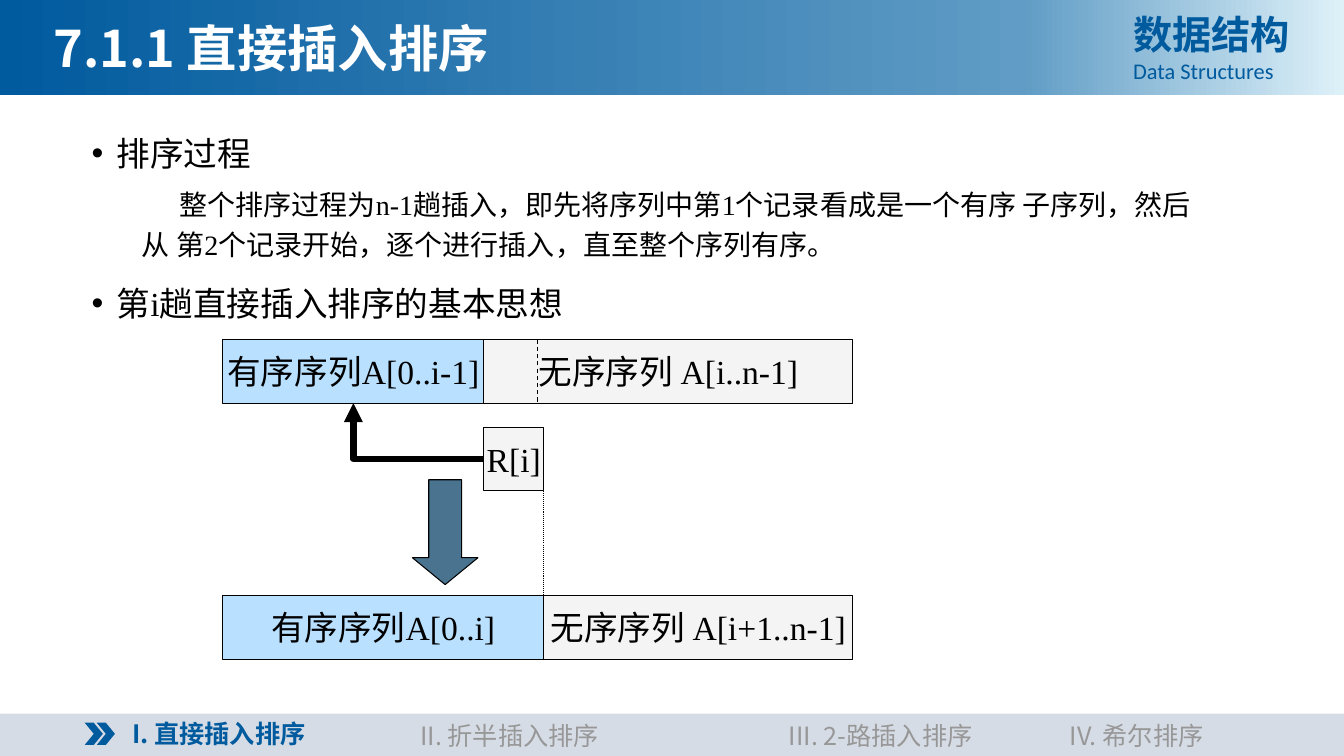
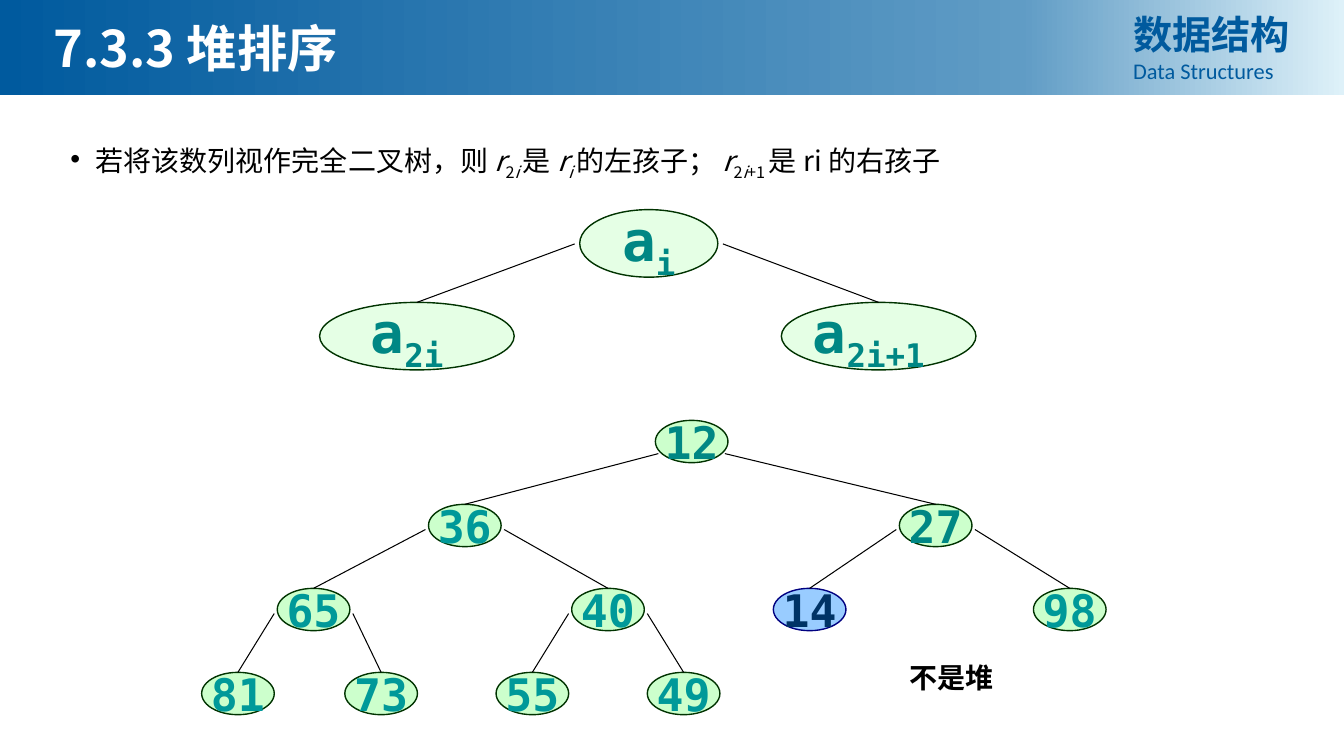
from copy import deepcopy
from dataclasses import dataclass

from pptx import Presentation
from pptx import util as u
from pptx.dml.color import RGBColor
from pptx.enum import dml, shapes, text
from pptx.oxml.ns import qn
from pptx.oxml.xmlchemy import OxmlElement

SHAPE = shapes.MSO_SHAPE
LINK = shapes.MSO_CONNECTOR
ALIGN = text.PP_ALIGN


@dataclass(frozen=True)
class Theme:
    # colours
    brand: str = "005A9E"
    band: tuple = ((0, "005A9E"), (0.76, "609CC5"), (1, "DEF1F9"))
    white: str = "FFFFFF"
    black: str = "000000"
    footer: str = "D6DCE5"
    muted: str = "979797"
    ordered: str = "B9E1FF"
    unordered: str = "F4F4F4"
    arrow: str = "49738F"
    node: str = "CCFFCC"
    node_line: str = "003300"
    teal: str = "008784"
    light_teal: str = "009999"
    marked: str = "99CCFF"
    marked_line: str = "000080"
    marked_text: str = "003366"
    # fonts
    sans: str = "Noto Sans CJK SC"
    serif: str = "Times New Roman"
    latin: str = "Calibri"
    mono: str = "DejaVu Sans Mono"
    # type sizes
    title: int = 36
    course: int = 28
    subtitle: int = 16
    body: int = 24
    detail: int = 20
    nav: int = 18
    symbol: int = 40
    value: int = 32


T = Theme()


def inches(*values):
    return [u.Inches(v) for v in values]


# Text
def style(p, size, color, font=T.sans, bold=False, align=None):
    p.alignment = align
    for r in p.runs:
        f = r.font
        f.size, f.bold, f.name = u.Pt(size), bold, font
        f.color.rgb = RGBColor.from_string(color)
        ea = OxmlElement("a:ea")
        ea.set("typeface", T.sans)
        r._r.rPr.find(qn("a:latin")).addnext(ea)


def add_runs(p, runs):
    """Runs are (text, marks); marks: i for italic, _ for subscript."""
    for content, marks in runs:
        r = p.add_run()
        r.text = content
        r.font.italic = "i" in marks
        if "_" in marks:
            r._r.get_or_add_rPr().set("baseline", "-25000")


def add_text(s, box, lines, wrap=True):
    """Each line is (text, keyword arguments of style)."""
    tf = s.shapes.add_textbox(*inches(*box)).text_frame
    tf.word_wrap = wrap
    tf.text = "\n".join(line for line, _ in lines)
    for p, (_, look) in zip(tf.paragraphs, lines):
        style(p, **look)
    return tf


def indent(p, left, first, spacing, before=0, bullet=False):
    pPr = p._p.get_or_add_pPr()
    pPr.set("marL", str(u.Inches(left)))
    pPr.set("indent", str(u.Inches(first)))
    p.line_spacing = spacing
    p.space_before = u.Pt(before)
    if bullet:
        for tag, key, value in (("a:buFont", "typeface", "Arial"), ("a:buChar", "char", "•")):
            el = OxmlElement(tag)
            el.set(key, value)
            pPr.append(el)


# Shapes and lines
def add_shape(s, kind, box, fill=None, line=None, width=0.75):
    sp = s.shapes.add_shape(kind, *inches(*box))
    sp.shadow.inherit = False
    if fill:
        sp.fill.solid()
        sp.fill.fore_color.rgb = RGBColor.from_string(fill)
    if line:
        sp.line.color.rgb = RGBColor.from_string(line)
        sp.line.width = u.Pt(width)
    else:
        sp.line.fill.background()
    return sp


def add_label(sp, runs, **look):
    tf = sp.text_frame
    tf.word_wrap = False
    tf.vertical_anchor = text.MSO_ANCHOR.MIDDLE
    tf.margin_left = tf.margin_right = tf.margin_top = tf.margin_bottom = 0
    p = tf.paragraphs[0]
    add_runs(p, runs)
    style(p, align=ALIGN.CENTER, **look)


def add_line(s, start, end, width=0.75, dash=None, kind=LINK.STRAIGHT):
    c = s.shapes.add_connector(kind, *inches(*start, *end))
    c.line.color.rgb = RGBColor.from_string(T.black)
    c.line.width = u.Pt(width)
    if dash:
        c.line.dash_style = dash
    c._element.spPr.append(OxmlElement("a:effectLst"))
    return c


# Shared parts
def add_header(s, title):
    band = add_shape(s, SHAPE.RECTANGLE, (0, 0, 13.33, 0.94))
    band.fill.gradient()
    band.fill.gradient_angle = 0
    stops = band._element.spPr.find(qn("a:gradFill")).find(qn("a:gsLst"))
    stops.append(deepcopy(stops[0]))
    for stop, (position, color) in zip(band.fill.gradient_stops, T.band):
        stop.position = position
        stop.color.rgb = RGBColor.from_string(color)
    add_text(s, (11.14, 0.05, 1.91, 0.84), [
        ("数据结构", dict(size=T.course, color=T.brand, bold=True, align=ALIGN.JUSTIFY)),
        ("Data Structures", dict(size=T.subtitle, color=T.brand, font=T.latin,
                                 align=ALIGN.JUSTIFY))])
    add_text(s, (0.43, 0.12, 8.79, 0.71),
             [(title, dict(size=T.title, color=T.white, bold=True))])


def add_footer(s, items, current):
    """Items are (text, left, width)."""
    add_shape(s, SHAPE.RECTANGLE, (0, 7.08, 13.33, 0.42), T.footer)
    for left in (0.96, 0.84):
        add_shape(s, SHAPE.CHEVRON, (left, 7.17, 0.18, 0.22), T.brand)
    for i, (label, left, width) in enumerate(items):
        on = i == current
        add_text(s, (left, 7.08 if on else 7.1, width, 0.4),
                 [(label, dict(size=T.nav, color=T.brand if on else T.muted,
                               bold=on, align=ALIGN.CENTER))])


# Insertion sort
def add_cell(s, label, left, top, width, fill):
    sp = add_shape(s, SHAPE.RECTANGLE, (left, top, width, 0.63), fill, T.black)
    add_label(sp, [(label, "")], size=T.body, color=T.black, font=T.serif)
    return sp


def insertion_slide(prs):
    s = prs.slides.add_slide(prs.slide_layouts[6])
    add_header(s, "7.1.1 直接插入排序")
    head = dict(size=T.body, color=T.black, font=T.serif)
    tf = add_text(s, (0.81, 1.19, 11.32, 5.35), [
        ("排序过程", head),
        ("整个排序过程为n-1趟插入，即先将序列中第1个记录看成是一个有序 子序列，"
         "然后从 第2个记录开始，逐个进行插入，直至整个序列有序。", dict(head, size=T.detail)),
        ("第i趟直接插入排序的基本思想", head)])
    first, detail, second = tf.paragraphs
    indent(first, 0.25, -0.25, 1.2, bullet=True)
    indent(detail, 0.5, 0.37, 1.2, before=5)
    indent(second, 0.25, -0.25, 1.2, before=10, bullet=True)

    # Sequence before and after the pass
    left, split, next_split, right = 2.21, 4.8, 5.39, 8.46
    before, after = 3.37, 5.91
    target = add_cell(s, "有序序列A[0..i-1]", left, before, split - left, T.ordered)
    record = add_cell(s, "R[i]", split, 4.24, next_split - split, T.unordered)
    add_cell(s, "无序序列 A[i..n-1]", split, before, right - split, T.unordered)
    add_cell(s, "有序序列A[0..i]", left, after, next_split - left, T.ordered)
    add_cell(s, "无序序列 A[i+1..n-1]", next_split, after, right - next_split, T.unordered)

    # Insertion arrow
    c = add_line(s, (split, 4.55), (3.5, 4), 4.5, kind=LINK.ELBOW)
    c.begin_connect(record, 1)
    c.end_connect(target, 2)
    c._element.spPr.find(qn("a:prstGeom")).set("prst", "bentConnector2")
    tip = OxmlElement("a:tailEnd")
    tip.set("type", "triangle")
    c.line._get_or_add_ln().append(tip)

    # Step arrow and guides
    step = add_shape(s, SHAPE.DOWN_ARROW, (4.09, 4.76, 0.65, 1.04), T.arrow, T.black)
    step.adjustments[1] = 0.41
    add_line(s, (5.33, before), (5.33, before + 0.63), dash=dml.MSO_LINE.DASH)
    add_line(s, (next_split, 4.87), (next_split, after), dash=dml.MSO_LINE.ROUND_DOT)

    add_footer(s, [("I. 直接插入排序", 1.13, 2.08), ("II. 折半插入排序", 3.94, 2.23),
                   ("III. 2-路插入排序", 7.31, 2.85), ("IV. 希尔排序", 10.31, 1.93)], current=0)


# Heap
def add_node(s, box, runs, size, color, fill=T.node, line=T.node_line):
    sp = add_shape(s, SHAPE.OVAL, box, fill, line, 1)
    add_label(sp, runs, size=size, color=color, font=T.mono, bold=True)
    return sp


def add_edges(s, parent, children, drop, gap):
    """Lines from both sides of the parent to the top of each child."""
    left, top, width = (v / u.Inches(1) for v in (parent.left, parent.top, parent.width))
    for x, child in zip((left - gap, left + width + gap), children):
        add_line(s, (x, top + drop), (x, top + 1)).end_connect(child, 0)


def heap_slide(prs):
    s = prs.slides.add_slide(prs.slide_layouts[6])
    tf = add_text(s, (0.6, 1.38, 11.5, 4.76), [])
    p = tf.paragraphs[0]
    indent(p, 0.25, -0.25, 0.9, bullet=True)
    add_runs(p, [("若将该数列视作完全二叉树，则 ", ""), ("r", "i"), ("2", "_"), ("i ", "i_"),
                 ("是 ", ""), ("r", "i"), ("i ", "i_"), ("的左孩子； ", ""), ("r", "i"),
                 ("2", "_"), ("i", "i_"), ("+1 ", "_"), ("是 ri 的右孩子", "")])
    style(p, T.detail, T.black)

    # Parent and children by index
    family = []
    for sub, left, top, width in (("i", 5.75, 2.08, 1.37), ("2i ", 3.17, 3, 1.93),
                                  ("2i+1 ", 7.75, 3, 1.93)):
        sp = add_node(s, (left, top, width, 0.67), [("a", ""), (sub, "_")], T.symbol, T.teal)
        alpha = OxmlElement("a:alpha")
        alpha.set("val", "50000")
        sp._element.spPr.find(qn("a:solidFill"))[0].append(alpha)
        family.append(sp)
    add_edges(s, family[0], family[1:], 0.34, 0.05)

    # Example tree, level by level
    levels = [[(12, 6.5)], [(36, 4.25), (27, 8.92)],
              [(65, 2.75), (40, 5.67), (14, 7.67), (98, 10.25)],
              [(81, 2), (73, 3.42), (55, 4.92), (49, 6.42)]]
    looks = {12: dict(color=T.teal), 27: dict(color=T.teal),
             14: dict(color=T.marked_text, fill=T.marked, line=T.marked_line)}
    nodes = []
    for depth, level in enumerate(levels):
        for value, left in level:
            look = looks.get(value, dict(color=T.light_teal))
            nodes.append(add_node(s, (left, 4.17 + depth * 2.5 / 3, 0.72, 0.42),
                                  [(str(value), "")], T.value, **look))
    for i, parent in enumerate(nodes):
        drop, gap = (0.25, 0.03) if i else (0.33, -0.03)
        add_edges(s, parent, nodes[2 * i + 1:2 * i + 3], drop, gap)

    add_text(s, (8.92, 6.5, 2.25, 0.44),
             [("不是堆", dict(size=T.detail, color=T.black, bold=True))])
    add_header(s, "7.3.3 堆排序")


def main():
    prs = Presentation()
    prs.slide_width, prs.slide_height = inches(13.33, 7.5)
    insertion_slide(prs)
    heap_slide(prs)
    prs.save("out.pptx")


if __name__ == "__main__":
    main()
